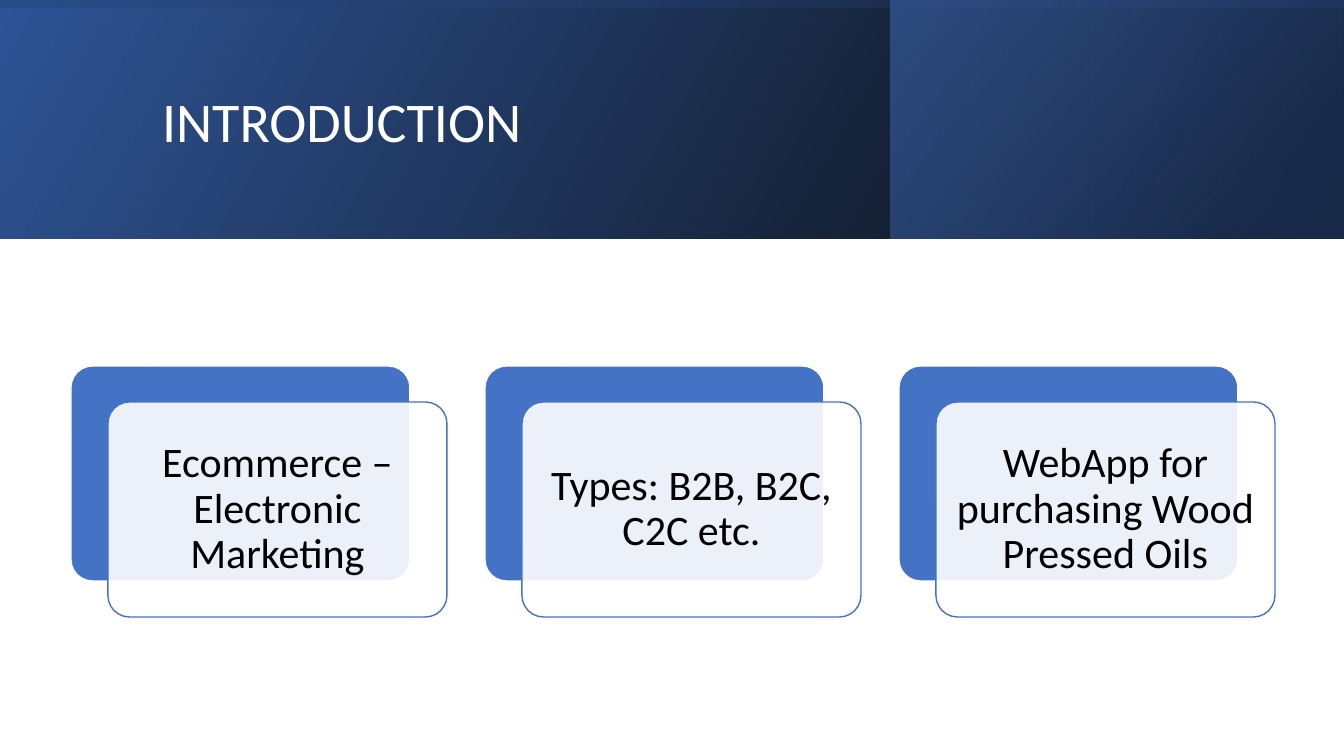
import pptx
import pptx.util
import pptx.dml.color
import pptx.enum.shapes
import pptx.enum.text
import pptx.oxml.ns
import pptx.oxml.xmlchemy

RGBColor = pptx.dml.color.RGBColor
SHAPE = pptx.enum.shapes.MSO_SHAPE
ALIGN = pptx.enum.text.PP_ALIGN
MIDDLE = pptx.enum.text.MSO_ANCHOR.MIDDLE

WHITE = RGBColor(0xFF, 0xFF, 0xFF)
BLACK = RGBColor(0x00, 0x00, 0x00)
BLUE = RGBColor(0x44, 0x72, 0xC4)
DEEP_BLUE = RGBColor(0x2F, 0x55, 0x97)
NAVY = RGBColor(0x20, 0x38, 0x64)
FONT = "Calibri"

EMU_PER_PX = 914400 / 100.8
PAGE_WIDTH, PAGE_HEIGHT = 1344, 756
BAND_HEIGHT = 239
CARD_WIDTH, CARD_HEIGHT = 339, 215
CARD_LEFT, CARD_TOP, CARD_PITCH = 71, 366, 414
CARD_SHIFT = 37
TEXT_MARGIN = 6
TEXT_INSET = 12

TOPICS = [
    "Ecommerce – Electronic Marketing",
    "Types: B2B, B2C, C2C etc.",
    "WebApp for purchasing Wood Pressed Oils",
]


def px(*lengths):
    return [pptx.util.Emu(round(length * EMU_PER_PX)) for length in lengths]


def set_opacity(color, percent):
    alpha = pptx.oxml.xmlchemy.OxmlElement("a:alpha")
    alpha.set("val", str(percent * 1000))
    color.append(alpha)


def add_band(page, left, top, width, height, stops, angle, rotation=0):
    """Add a mirrored rectangle; stops are (position, colour, opacity) in percent."""
    band = page.shapes.add_shape(SHAPE.RECTANGLE, *px(left, top, width, height))
    band.shadow.inherit = False
    band.line.fill.background()
    band.rotation = rotation
    properties = band._element.spPr
    properties.xfrm.set("flipH", "1")
    band.fill.gradient()
    band.fill.gradient_angle = 360 - angle
    for stop, (position, color, _) in zip(band.fill.gradient_stops, stops):
        stop.position = position / 100
        stop.color.rgb = color
    colors = properties.findall(".//" + pptx.oxml.ns.qn("a:srgbClr"))
    for color, (_, _, opacity) in zip(colors, stops):
        set_opacity(color, opacity)


def add_card(page, left, top, fill, line, opacity=100):
    card = page.shapes.add_shape(
        SHAPE.ROUNDED_RECTANGLE, *px(left, top, CARD_WIDTH, CARD_HEIGHT))
    card.adjustments[0] = 0.1
    card.shadow.inherit = False
    card.fill.solid()
    card.fill.fore_color.rgb = fill
    card.line.color.rgb = line
    card.line.width = pptx.util.Pt(1)
    if opacity < 100:
        color = card._element.spPr.find(
            pptx.oxml.ns.qn("a:solidFill") + "/" + pptx.oxml.ns.qn("a:srgbClr"))
        set_opacity(color, opacity)


def write_text(box, text, size, color, align):
    frame = box.text_frame
    frame.word_wrap = True
    frame.vertical_anchor = MIDDLE
    para = frame.paragraphs[0]
    para.alignment = align
    para.line_spacing = 0.9
    span = para.add_run()
    span.text = text
    span.font.name = FONT
    span.font.size = pptx.util.Pt(size)
    span.font.color.rgb = color


def add_title(page, text):
    title = page.shapes.title
    title.left, title.top, title.width, title.height = px(152, 38, 1072, 173)
    write_text(title, text, size=40, color=WHITE, align=ALIGN.LEFT)
    # Bring the title in front of the header bands
    page.shapes._spTree.append(title._element)


def add_topic(page, left, text):
    add_card(page, left, CARD_TOP, fill=BLUE, line=WHITE)
    front_left, front_top = left + CARD_SHIFT, CARD_TOP + CARD_SHIFT - 1
    add_card(page, front_left, front_top, fill=WHITE, line=BLUE, opacity=90)
    box = page.shapes.add_textbox(*px(
        front_left + TEXT_MARGIN, front_top + TEXT_MARGIN,
        CARD_WIDTH - 2 * TEXT_MARGIN, CARD_HEIGHT - 2 * TEXT_MARGIN))
    frame = box.text_frame
    (frame.margin_left, frame.margin_top,
     frame.margin_right, frame.margin_bottom) = px(*[TEXT_INSET] * 4)
    write_text(box, text, size=30, color=BLACK, align=ALIGN.CENTER)


def main():
    deck = pptx.Presentation()
    deck.slide_width, deck.slide_height = px(PAGE_WIDTH, PAGE_HEIGHT)
    page = deck.slides.add_slide(deck.slide_layouts[5])

    # Header: three layered gradients, the last one turned on its side
    add_band(page, 0, 0, PAGE_WIDTH, BAND_HEIGHT,
             [(0, BLACK, 96), (100, DEEP_BLUE, 100)], angle=330)
    add_band(page, 891, 0, 452, BAND_HEIGHT,
             [(19, NAVY, 68), (100, BLUE, 48)], angle=320)
    turn_offset = (PAGE_WIDTH - BAND_HEIGHT) // 2
    add_band(page, turn_offset, -turn_offset, BAND_HEIGHT, PAGE_WIDTH,
             [(23, DEEP_BLUE, 16), (99, BLACK, 45)], angle=350, rotation=270)
    add_title(page, "INTRODUCTION")

    # Topic cards
    for index, topic in enumerate(TOPICS):
        add_topic(page, CARD_LEFT + index * CARD_PITCH, topic)

    deck.save("out.pptx")


if __name__ == "__main__":
    main()
